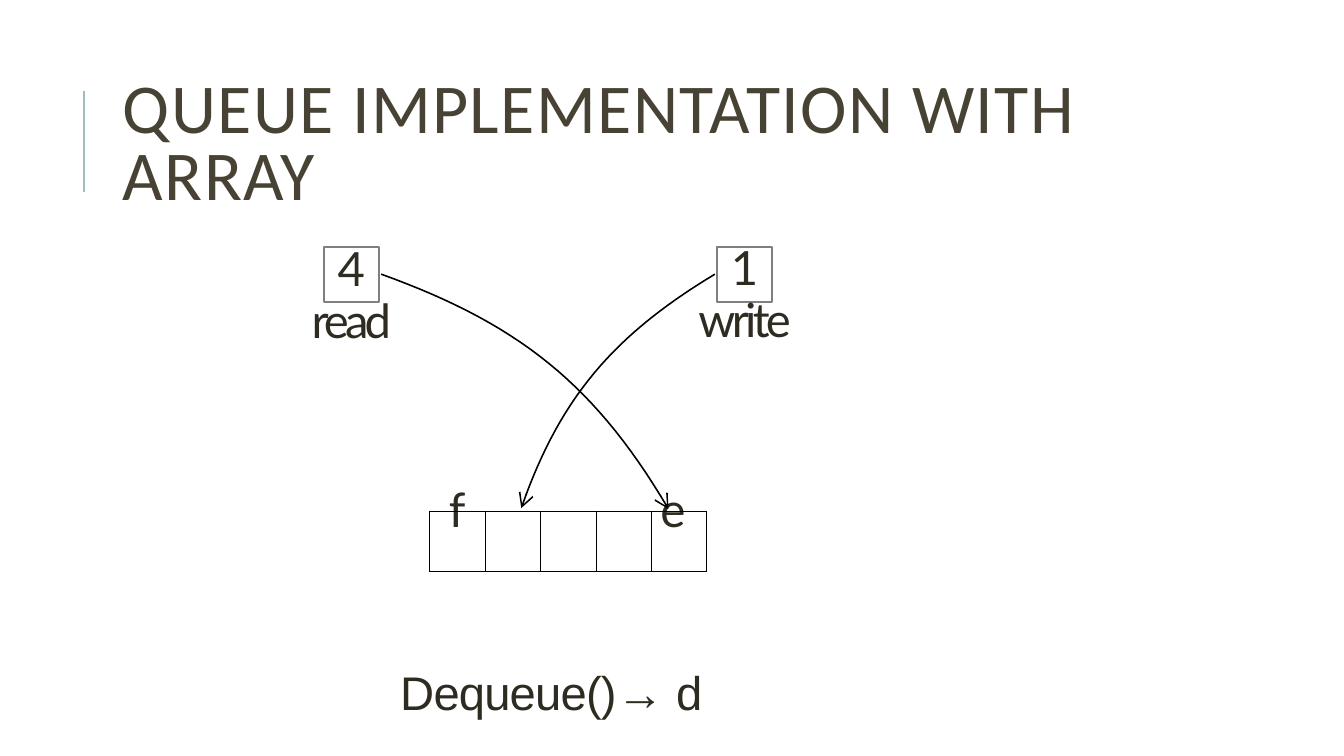
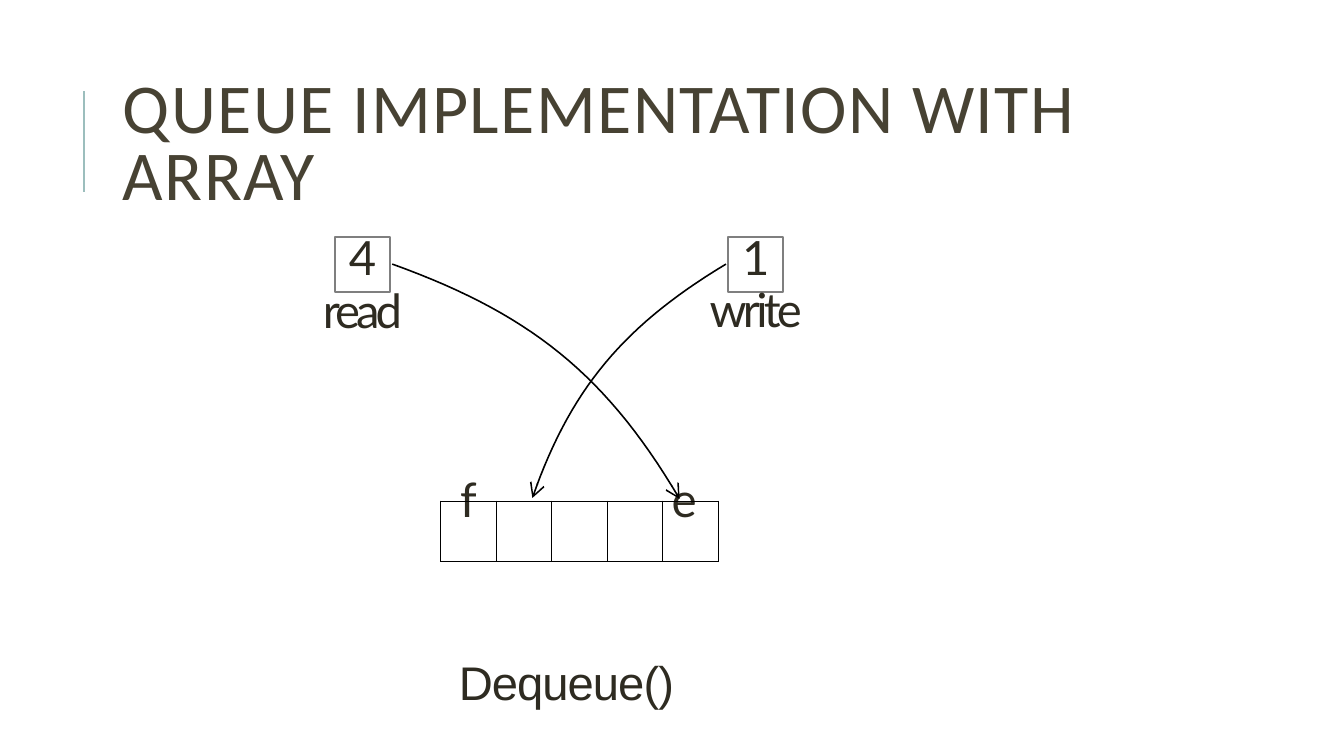
from dataclasses import dataclass

from pptx import Presentation
from pptx.dml.color import RGBColor as Rgb
from pptx.enum.shapes import MSO_CONNECTOR as Connector, MSO_SHAPE as Shape
from pptx.enum.text import MSO_ANCHOR as Anchor, PP_ALIGN as Align
from pptx.oxml.ns import qn
from pptx.util import Inches, Pt
from lxml.etree import SubElement


@dataclass(frozen=True)
class Theme:
    title: str = "474233"
    text: str = "2E2B21"
    accent: str = "9CBEBD"
    index_border: str = "7F7F7F"
    ink: str = "000000"
    title_font: str = "Calibri"
    label_font: str = "Lato"
    call_font: str = "Arial"
    title_size: float = 50
    label_size: float = 33.7
    cell_size: float = 34


THEME = Theme()
TITLE = "QUEUE IMPLEMENTATION WITH ARRAY"
CELL_WIDTH, CELL_HEIGHT = 0.55, 0.6
CURVE_STEPS = 30

# Bezier control points: from an index box to the array cell it refers to
READ_CURVE = [(3.78, 2.72), (5.14, 3.21), (5.9, 3.81), (6.63, 5.05)]
WRITE_CURVE = [(7.09, 2.72), (6.08, 3.33), (5.55, 3.95), (5.17, 5.04)]


def write_text(paragraph, text, *, font=THEME.label_font, size=THEME.label_size,
               color=THEME.text, tracking=0, italic=False, align=Align.LEFT,
               leading=None, before=0, indent=0):
    """Append a formatted run; leading is points (Pt) or a multiple."""
    paragraph.alignment = align
    paragraph.line_spacing = leading
    paragraph.space_before = Pt(before)
    if indent:
        paragraph._p.get_or_add_pPr().set("marL", str(Inches(indent)))
    run = paragraph.add_run()
    run.text = text
    run.font.name, run.font.size, run.font.italic = font, Pt(size), italic
    run.font.color.rgb = Rgb.from_string(color)
    if tracking:
        run._r.get_or_add_rPr().set("spc", str(round(tracking * 100)))


def add_frame(slide, left, top, width, height, margins=None, anchor=Anchor.TOP):
    box = slide.shapes.add_textbox(*map(Inches, (left, top, width, height)))
    frame = box.text_frame
    frame.word_wrap = True
    frame.vertical_anchor = anchor
    if margins:
        (frame.margin_left, frame.margin_top,
         frame.margin_right, frame.margin_bottom) = map(Inches, margins)
    return frame


def set_line(line, color, width):
    line.color.rgb = Rgb.from_string(color)
    line.width = Pt(width)


def add_title(slide):
    accent = slide.shapes.add_connector(
        Connector.STRAIGHT, *map(Inches, (0.83, 1.9, 0.83, 0.9)))
    set_line(accent.line, THEME.accent, 1.5)
    SubElement(accent._element.spPr, qn("a:effectLst"))
    frame = add_frame(slide, 1.12, 0.64, 10.63, 1.64, anchor=Anchor.MIDDLE)
    write_text(frame.paragraphs[0], TITLE, font=THEME.title_font,
               size=THEME.title_size, color=THEME.title, tracking=1, leading=0.8)


def add_index(slide, left, top, value, name, label_width, leading, tracking):
    """Square holding an index value, with its name below."""
    side = 0.55
    square = slide.shapes.add_shape(
        Shape.RECTANGLE, *map(Inches, (left, top, side, side)))
    square.shadow.inherit = False
    square.fill.background()
    set_line(square.line, THEME.index_border, 1.42)

    frame = add_frame(slide, left + (side - label_width) / 2, top - 0.07,
                      label_width, 1.1, margins=(0, 0.03, 0, 0))
    write_text(frame.paragraphs[0], value, tracking=-1.7, align=Align.CENTER,
               leading=Pt(leading), before=2.4)
    write_text(frame.add_paragraph(), name, tracking=tracking,
               align=Align.CENTER, leading=Pt(leading))


def set_borders(cell):
    properties = cell._tc.get_or_add_tcPr()
    for side in ("lnL", "lnR", "lnT", "lnB"):
        border = SubElement(properties, qn(f"a:{side}"), w=str(Pt(0.5)))
        fill = SubElement(border, qn("a:solidFill"))
        SubElement(fill, qn("a:srgbClr"), val=THEME.ink)


def add_array(slide, left, top, items):
    table = slide.shapes.add_table(
        1, len(items), Inches(left), Inches(top),
        Inches(CELL_WIDTH * len(items)), Inches(CELL_HEIGHT)).table
    table.first_row = table.horz_banding = False
    for column, (item, layout) in enumerate(items):
        table.columns[column].width = Inches(CELL_WIDTH)
        cell = table.cell(0, column)
        cell.margin_left = cell.margin_right = 0
        cell.margin_top = cell.margin_bottom = 0
        set_borders(cell)
        cell.fill.background()
        if item:
            write_text(cell.text_frame.paragraphs[0], item,
                       size=THEME.cell_size, leading=Pt(18.8), **layout)


def bezier(controls, t):
    weights = ((1 - t) ** 3, 3 * t * (1 - t) ** 2, 3 * t * t * (1 - t), t ** 3)
    return tuple(sum(w * value for w, value in zip(weights, axis))
                 for axis in zip(*controls))


def add_curved_arrow(slide, controls, dx, dy):
    points = []
    for step in range(CURVE_STEPS + 1):
        x, y = bezier(controls, step / CURVE_STEPS)
        points.append((Inches(x + dx), Inches(y + dy)))
    builder = slide.shapes.build_freeform(*points[0])
    builder.add_line_segments(points[1:], close=False)
    arrow = builder.convert_to_shape()
    arrow.shadow.inherit = False
    arrow.fill.background()
    set_line(arrow.line, THEME.ink, 1.13)
    SubElement(arrow.line._get_or_add_ln(), qn("a:tailEnd"),
               type="arrow", w="lg", len="lg")


def add_queue(slide, dx=0, dy=0):
    """The whole diagram, moved as one by dx and dy."""
    add_index(slide, 3.21 + dx, 2.45 + dy, "4", "read", 0.85, 37.6, -2.8)
    add_index(slide, 7.11 + dx, 2.45 + dy, "1", "write", 0.98, 37.1, -2.7)
    empty = ("", {})
    add_array(slide, 4.26 + dx, 5.07 + dy,
              [("f", {"align": Align.CENTER}), empty, empty, empty,
               ("e", {"indent": 0.09})])
    for curve in (READ_CURVE, WRITE_CURVE):
        add_curved_arrow(slide, curve, dx, dy)


def add_call(slide, left, top, width, pieces):
    """Operation below the array, as runs of (text, format)."""
    frame = add_frame(slide, left, top, width, 0.52, margins=(0, 0, 0, 0))
    for text, style in pieces:
        write_text(frame.paragraphs[0], text, font=THEME.call_font,
                   leading=Pt(37.1), indent=0.03, **style)


def main():
    deck = Presentation()
    deck.slide_width, deck.slide_height = Inches(13.33), Inches(7.5)
    blank = deck.slide_layouts[6]

    # Dequeue with its result
    result = deck.slides.add_slide(blank)
    add_title(result)
    add_queue(result)
    add_call(result, 3.94, 6.63, 3.14,
             [("Dequeue()", {"tracking": -0.6}),
              ("→ ", {"tracking": -0.6, "italic": True}),
              ("d", {"tracking": -1.7})])

    # Next dequeue, still to be answered
    question = deck.slides.add_slide(blank)
    add_title(question)
    add_queue(question, dx=0.11, dy=-0.1)
    add_call(question, 4.52, 6.53, 2.19, [("Dequeue()", {"tracking": -0.7})])

    deck.save("out.pptx")


if __name__ == "__main__":
    main()
